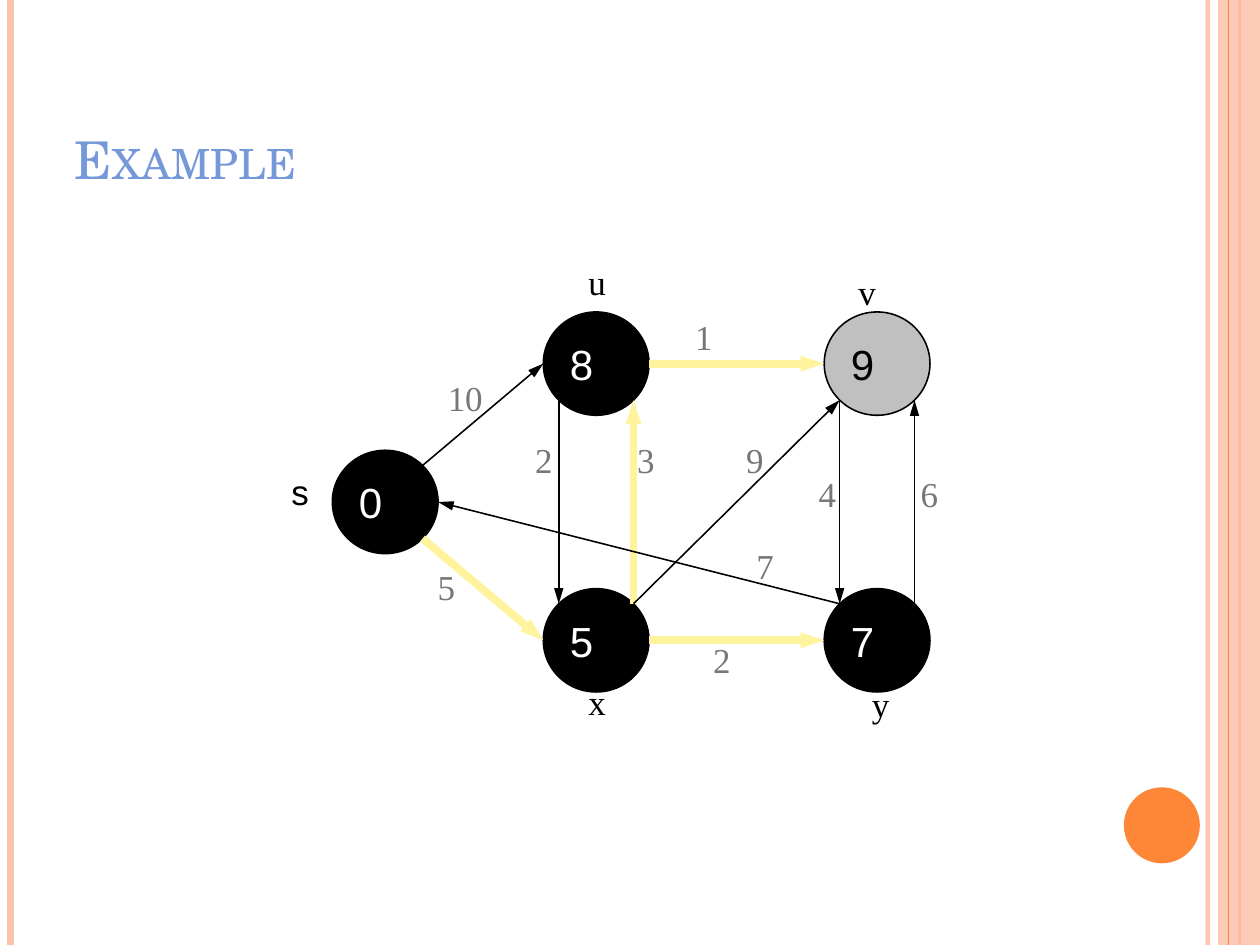
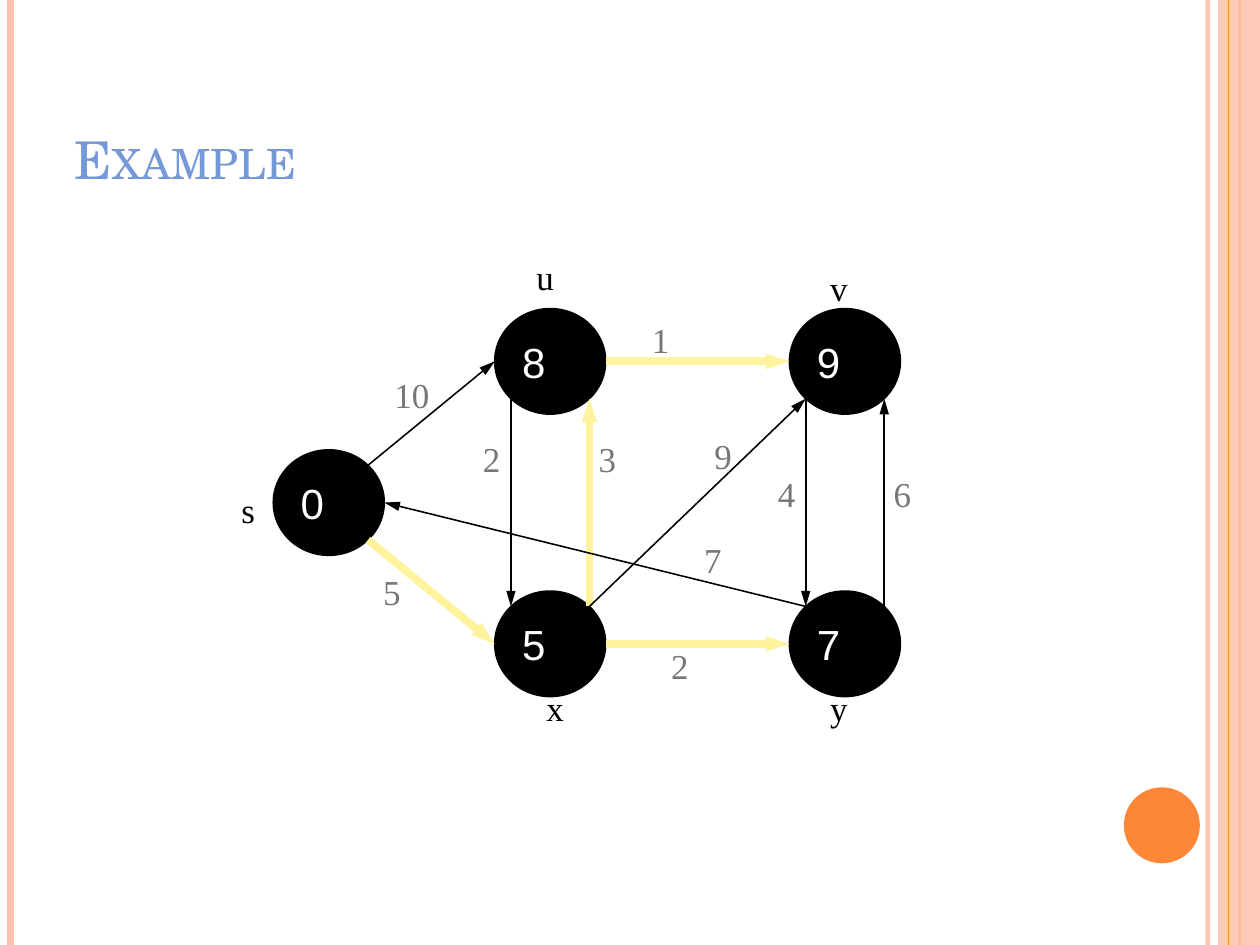
from math import sqrt

from lxml import etree
from pptx import Presentation
from pptx.dml.color import RGBColor
from pptx.enum.shapes import MSO_CONNECTOR, MSO_SHAPE
from pptx.enum.text import MSO_ANCHOR
from pptx.oxml.ns import qn
from pptx.util import Inches, Pt

LINE = MSO_CONNECTOR.STRAIGHT
OVAL, RECT = MSO_SHAPE.OVAL, MSO_SHAPE.RECTANGLE
MIDDLE, BOTTOM = MSO_ANCHOR.MIDDLE, MSO_ANCHOR.BOTTOM
WIDTH, HEIGHT = 11.11, 8.33
COLORS = {"peach": "FEC3AE", "orange": "FE8637", "blue": "7598D9",
          "gold": "FFF39D", "black": "000000", "white": "FFFFFF",
          "silver": "C0C0C0", "gray": "777777"}
TITLE = {"name": "TeX Gyre Schola", "size": Pt(33)}
VALUE = {"name": "Arial", "size": Pt(26.7)}
LABEL = {"name": "Times New Roman", "size": Pt(22.2)}
RULES = [(10.65, "peach", 3, 93), (0.09, "peach", 4.5, 100),
         (10.93, "orange", 1.5, 100)]

NODE_W, NODE_H = 0.177, 0.272
COLS = (0, 0.353, 1 - NODE_W)
ROWS = (0, 0.364, 1 - NODE_H)
NODES = {"u": (1, 0, "8"), "v": (2, 0, "9"), "x": (1, 2, "5"),
         "y": (2, 2, "7"), "s": (0, 1, "0")}
DIAG = sqrt(0.5)
SIDES = {"left": (-1, 0), "right": (1, 0), "nw": (-DIAG, -DIAG),
         "ne": (DIAG, -DIAG), "sw": (-DIAG, DIAG), "se": (DIAG, DIAG)}
EDGES = [("x", "ne", "u", "se", True), ("u", "sw", "x", "nw", False),
         ("u", "right", "v", "left", True), ("x", "ne", "v", "sw", False),
         ("v", "sw", "y", "nw", False), ("y", "ne", "v", "se", False),
         ("x", "right", "y", "left", True), ("y", "nw", "s", "right", False),
         ("s", "se", "x", "left", True), ("s", "ne", "u", "left", False)]
NAMES = ["u", "v", "y", "x", "s"]
COSTS = ["10", "5", "1", "2", "3", "9", "4", "6", "7", "2"]
WIDE = ("10", "5", "1")

STEPS = [
    {"box": (2.93, 2.75, 5.27, 3.35), "open": "v", "font": "Arial",
     "names": [(2.16, -0.5), (4.54, -0.41), (4.66, 3.22), (2.16, 3.2),
               (-0.46, 1.35)],
     "costs": [(0.92, 0.52), (0.83, 2.19), (3.1, -0.02), (1.69, 1.07),
               (2.59, 1.07), (3.55, 1.07), (4.19, 1.37), (5.09, 1.37),
               (3.64, 2), (3.26, 2.83)]},
    {"box": (2.41, 2.72, 5.53, 3.42), "open": "", "font": "Times New Roman",
     "names": [(2.22, -0.52), (4.81, -0.42), (4.81, 3.28), (2.31, 3.28),
               (-0.38, 1.54)],
     "costs": [(0.97, 0.52), (0.87, 2.26), (3.24, 0.04), (1.75, 1.09),
               (2.77, 1.09), (3.79, 1.06), (4.35, 1.4), (5.37, 1.4),
               (3.7, 1.98), (3.41, 2.91)]},
]


def rgb(name):
    """Return the named colour."""
    return RGBColor.from_string(COLORS[name])


def fade(shape, share):
    """Make the colours of a shape opaque to the given percentage."""
    for color in shape._element.spPr.iter(qn("a:srgbClr")):
        etree.SubElement(color, qn("a:alpha"), val=str(share * 1000))


def write(shape, text, color, style, anchor=None):
    """Put one left-aligned run into a shape and return the run."""
    frame = shape.text_frame
    frame.word_wrap = True
    if anchor is not None:
        frame.vertical_anchor = anchor
    run = frame.paragraphs[0].add_run()
    run.text = text
    for key, value in style.items():
        setattr(run.font, key, value)
    run.font.color.rgb = rgb(color)
    return run


def add_text(slide, box, text, color, style, anchor=None):
    """Add a text box and return its run."""
    shape = slide.shapes.add_textbox(*map(Inches, box))
    return write(shape, text, color, style, anchor)


def add_form(slide, kind, box, fill, edge=None):
    """Add a flat preset shape."""
    shape = slide.shapes.add_shape(kind, *map(Inches, box))
    shape.shadow.inherit = False
    shape.fill.solid()
    shape.fill.fore_color.rgb = rgb(fill)
    if edge:
        shape.line.color.rgb = rgb(edge)
        shape.line.width = Pt(1)
    else:
        shape.line.fill.background()
    return shape


def add_line(slide, start, end, color, width, head=None):
    """Add a straight line, with an arrowhead if its sizes are given."""
    line = slide.shapes.add_connector(LINE, *map(Inches, (*start, *end)))
    line.line.color.rgb = rgb(color)
    line.line.width = Pt(width)
    if head:
        etree.SubElement(line.line._get_or_add_ln(), qn("a:tailEnd"),
                         type="triangle", w=head[0], len=head[1])
    etree.SubElement(line._element.spPr, qn("a:effectLst"))
    return line


def add_frame(slide, title):
    """Draw the side bands, the dot and the title."""
    for x, color, width, share in RULES:
        line = add_line(slide, (x, 0), (x, HEIGHT), color, width)
        if share < 100:
            fade(line, share)
    fade(add_form(slide, RECT, (10.74, 0, 0.37, HEIGHT), "peach"), 87)
    add_line(slide, (10.83, 0), (10.83, HEIGHT), "orange", 0.75)
    add_form(slide, OVAL, (9.91, 6.94, 0.67, 0.67), "orange")
    run = add_text(slide, (0.56, 0.33, 9.07, 1.39), title, "blue", TITLE,
                   BOTTOM)
    run._r.get_or_add_rPr().set("cap", "small")


def add_graph(slide, step):
    """Draw the nodes, edges and labels of one step inside its box."""
    left, top, width, height = step["box"]
    wide, high = NODE_W * width, NODE_H * height
    spots = {}
    for name, (col, row, value) in NODES.items():
        x, y = left + COLS[col] * width, top + ROWS[row] * height
        fill, ink = ("silver", "black") if name == step["open"] else (
            "black", "white")
        node = add_form(slide, OVAL, (x, y, wide, high), fill, "black")
        write(node, value, ink, VALUE, MIDDLE).font.bold = False
        node.text_frame.paragraphs[0].alignment = 1
        spots[name] = (x + wide / 2, y + high / 2)

    def site(name, side):
        """Return the point on the rim of a node."""
        (x, y), (dx, dy) = spots[name], SIDES[side]
        return x + dx * wide / 2, y + dy * high / 2

    for tail, out, tip, into, chosen in EDGES:
        look = ("gold", 5, ("sm", "med")) if chosen else (
            "black", 1, ("med", "lg"))
        add_line(slide, site(tail, out), site(tip, into), *look)

    for names, spot, color in ((NAMES, step["names"], "black"),
                               (COSTS, step["costs"], "gray")):
        for text, (dx, dy) in zip(names, spot):
            span = wide if text in WIDE else wide * 2 / 3
            style = {**LABEL, "name": step["font"]} if text == "s" else LABEL
            add_text(slide, (left + dx, top + dy, span, 0.47), text, color,
                     style)


def main():
    """Build and save the slides."""
    deck = Presentation()
    deck.slide_width, deck.slide_height = Inches(WIDTH), Inches(HEIGHT)
    for step in STEPS:
        slide = deck.slides.add_slide(deck.slide_layouts[6])
        add_frame(slide, "Example")
        add_graph(slide, step)
    deck.save("out.pptx")


if __name__ == "__main__":
    main()
